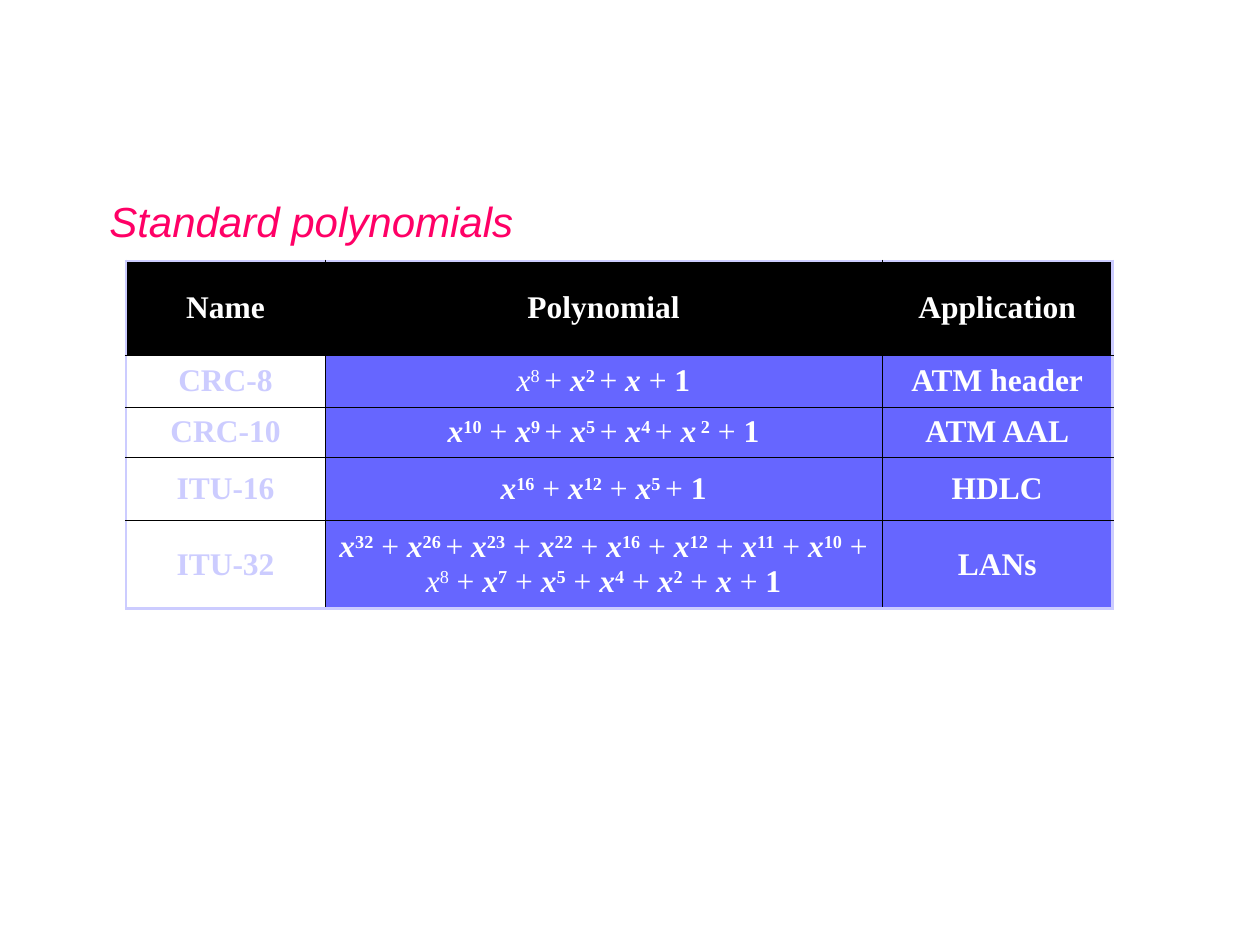
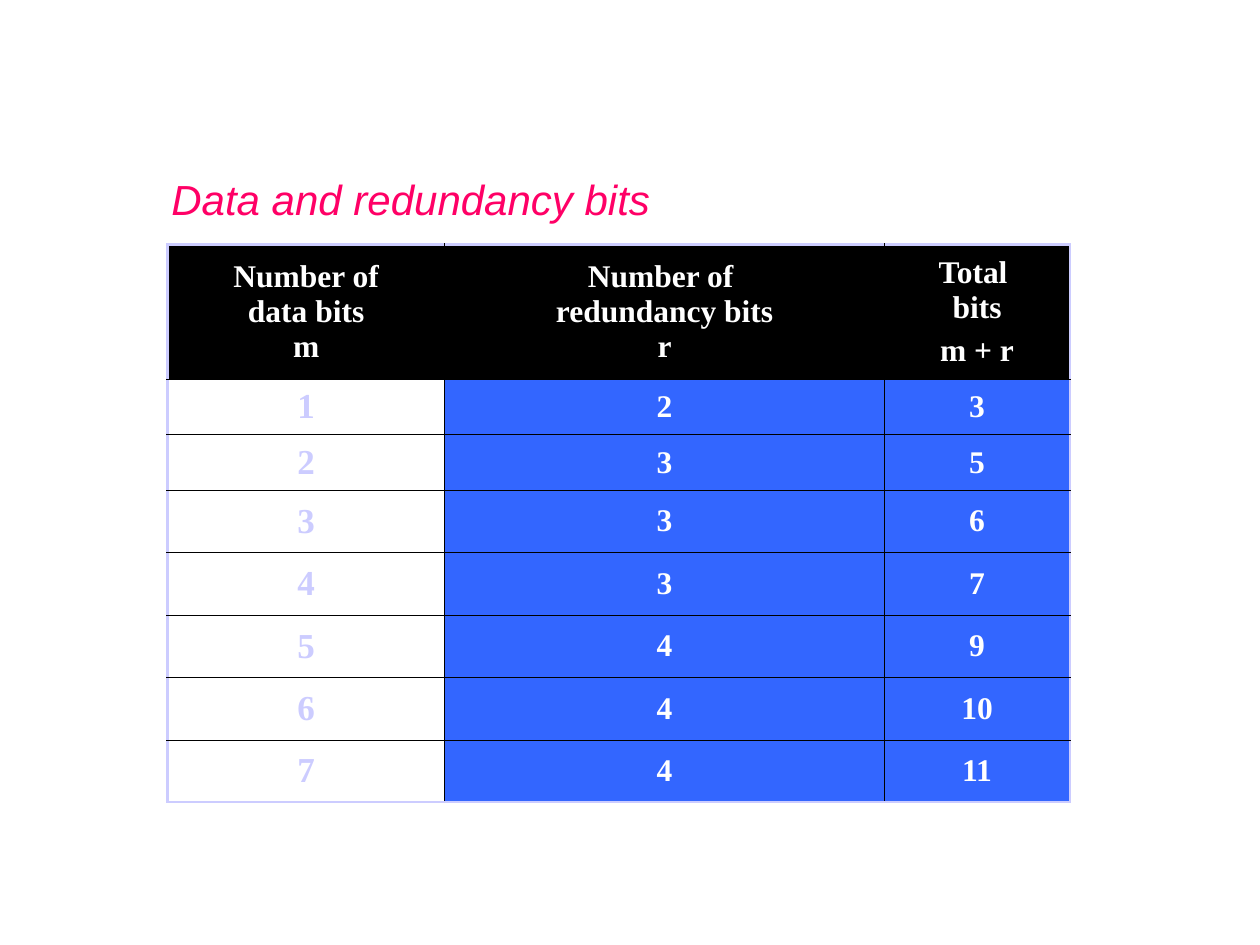
from dataclasses import dataclass

from lxml.etree import SubElement
from pptx import Presentation
from pptx.dml.color import RGBColor as RGB
from pptx.enum.text import MSO_ANCHOR as Anchor, MSO_AUTO_SIZE as Fit, PP_ALIGN as Align
from pptx.oxml.ns import qn
from pptx.util import Inches, Pt

# In a polynomial, "x8" is x to the 8th and "~" is a raised (narrow) space.
# "rows" holds the first heights; the rows left over share the rest of "tall".
SLIDES = [
    dict(
        title="Standard polynomials", box=(0.77, 1.5, 3.4, 0.5),
        at=(1, 2.07), cols=[1.58, 4.42, 1.83], rows=[0.75, 0.41, 0.4, 0.5], tall=2.76,
        fill="6666FF", key=18, math=True,
        head=["Name", "Polynomial", "Application"],
        body=[
            ("CRC-8", "x8~ + x2~ + x + 1", "ATM header"),
            ("CRC-10", "x10 + x9~ + x5~ + x4~ + x~2 + 1", "ATM AAL"),
            ("ITU-16", "x16 + x12 + x5~ + 1", "HDLC"),
            ("ITU-32", "x32 + x26~ + x23 + x22 + x16 + x12 + x11 + x10 + "
                       "x8 + x7 + x5 + x4 + x2 + x + 1", "LANs"),
        ],
    ),
    dict(
        title="Data and redundancy bits", box=(1.26, 1.33, 4, 0.5),
        at=(1.33, 1.94), cols=[2.2, 3.49, 1.47], rows=[1.07, 0.44, 0.44], tall=4.43,
        fill="3366FF", key=20, math=False,
        head=["Number of\ndata bits\nm", "Number of \nredundancy bits\nr",
              ("Total \nbits", "m + r")],
        body=[(str(m), str(r), str(m + r))
              for m, r in enumerate([2, 3, 3, 3, 4, 4, 4], 1)],
    ),
]


@dataclass(frozen=True)
class Theme:
    pink: str = "FF0066"
    lilac: str = "CCCCFF"
    black: str = "000000"
    white: str = "FFFFFF"
    sans: str = "Arial"
    serif: str = "Times New Roman"
    title: int = 24
    text: int = 18
    gap: float = 4.5
    thin: float = 0.45
    thick: float = 1.47


T = Theme()


def style(run, face, size, color, bold=False, slant=False):
    font = run.font
    font.name, font.size = face, Pt(size)
    font.bold, font.italic = bold, slant
    font.color.rgb = RGB.from_string(color)


def add_title(slide, text, box):
    shape = slide.shapes.title
    shape.left, shape.top, shape.width, shape.height = map(Inches, box)
    frame = shape.text_frame
    frame.text = text
    frame.word_wrap, frame.auto_size = False, Fit.NONE
    frame.margin_left = frame.margin_right = 0
    frame.vertical_anchor = Anchor.TOP
    para = frame.paragraphs[0]
    para.alignment = Align.CENTER
    style(para.runs[0], T.sans, T.title, T.pink, slant=True)


def edge(cell, sides):
    """Draw the cell's borders: lilac and thick on the table's rim, else thin black."""
    props = cell._tc.get_or_add_tcPr()
    for side, rim in sides.items():
        width, color = (T.thick, T.lilac) if rim else (T.thin, T.black)
        line = SubElement(props, qn("a:ln" + side), w=str(Pt(width)))
        fill = SubElement(line, qn("a:solidFill"))
        SubElement(fill, qn("a:srgbClr"), val=color)


def write(cell, text, size, color):
    paras = (text,) if isinstance(text, str) else text
    frame = cell.text_frame
    for i, line in enumerate(paras):
        para = frame.add_paragraph() if i else frame.paragraphs[0]
        para.text = line
        para.alignment = Align.CENTER
        if i:
            para.space_before = Pt(T.gap)
        for run in para.runs:
            style(run, T.serif, size, color, bold=True)


def write_poly(cell, text):
    para = cell.text_frame.paragraphs[0]
    para.alignment = Align.CENTER

    def add(part, bold, slant=False, up=False):
        run = para.add_run()
        run.text = part
        style(run, T.serif, T.text, T.white, bold, slant)
        if up:
            run._r.get_or_add_rPr().set("baseline", "30000")

    last = ""
    for word in text.split():
        if word == "+":
            add("+ " if last.endswith("~") else " + ", False)
        elif word == "1":
            add(word, True)
        else:
            power = word[1:].replace("~", " ")
            bold = power.strip() != "8"
            add("x", bold, slant=True)
            if power:
                add(power, bold, up=True)
        last = word


def add_grid(slide, data):
    lines = [data["head"], *data["body"]]
    cols, rows, tall = data["cols"], data["rows"], data["tall"]
    left = len(lines) - len(rows)
    rows = rows + [(tall - sum(rows)) / left] * left
    size = map(Inches, (*data["at"], sum(cols), tall))
    table = slide.shapes.add_table(len(rows), len(cols), *size).table
    table.first_row = table.horz_banding = False
    for col, width in zip(table.columns, cols):
        col.width = Inches(width)
    for row, height in zip(table.rows, rows):
        row.height = Inches(height)

    for y, line in enumerate(lines):
        for x, text in enumerate(line):
            cell = table.cell(y, x)
            cell.vertical_anchor = Anchor.MIDDLE
            edge(cell, {"L": x == 0, "R": x == len(cols) - 1,
                        "T": y == 0, "B": y == len(rows) - 1})
            fill, ink, points = data["fill"], T.white, T.text
            if y == 0:
                fill = T.black
            elif x == 0:
                fill, ink, points = T.white, T.lilac, data["key"]
            cell.fill.solid()
            cell.fill.fore_color.rgb = RGB.from_string(fill)
            if data["math"] and y and x == 1:
                write_poly(cell, text)
            else:
                write(cell, text, points, ink)


def main():
    deck = Presentation()
    deck.slide_width, deck.slide_height = Inches(10), Inches(7.5)
    for data in SLIDES:
        slide = deck.slides.add_slide(deck.slide_layouts[5])
        add_title(slide, data["title"], data["box"])
        add_grid(slide, data)
    deck.save("out.pptx")


if __name__ == "__main__":
    main()
